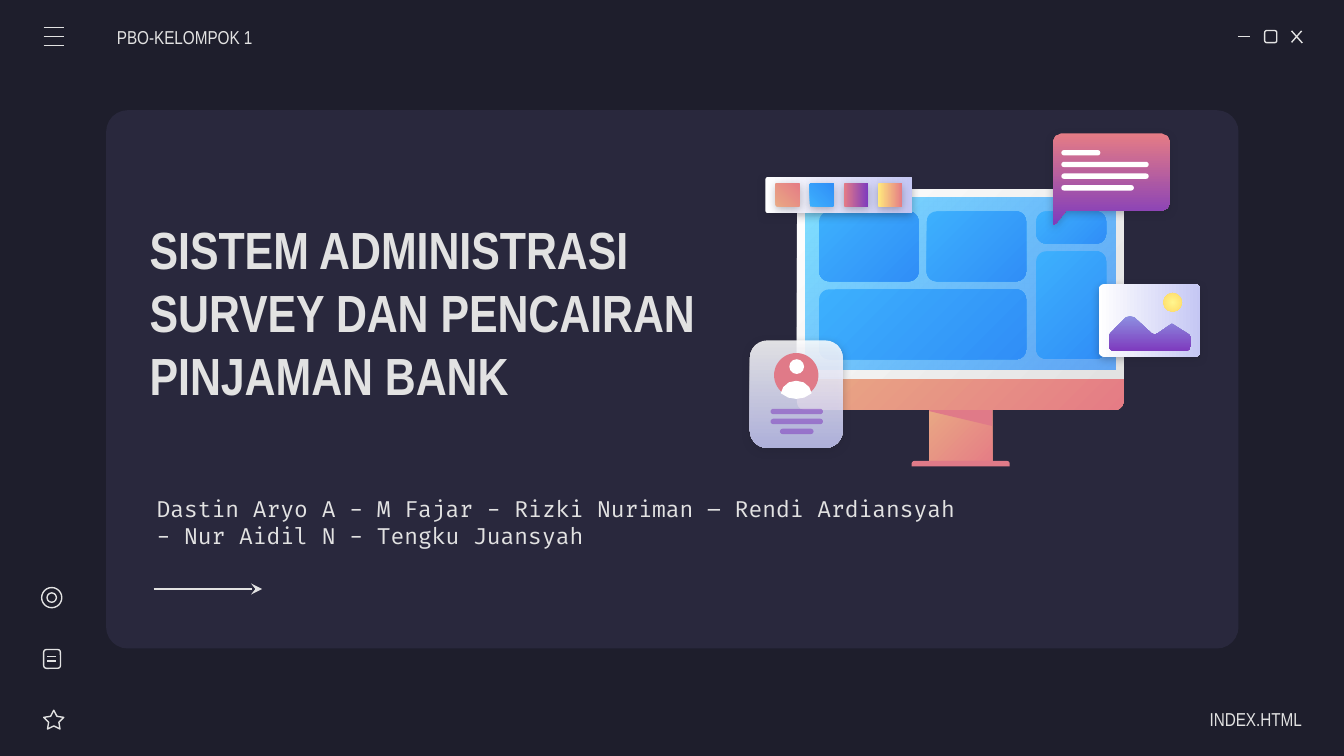
from dataclasses import dataclass

from pptx import Presentation
from pptx.dml.color import RGBColor
from pptx.enum.shapes import MSO_CONNECTOR, MSO_SHAPE
from pptx.enum.text import MSO_ANCHOR, MSO_AUTO_SIZE, PP_ALIGN
from pptx.oxml import parse_xml
from pptx.oxml.ns import nsdecls, qn
from pptx.oxml.xmlchemy import OxmlElement
from pptx.util import Inches, Pt


@dataclass(frozen=True)
class Theme:
    """Colours, gradients, fonts and type sizes of the slide."""
    night: str = "1E1E2C"
    card: str = "29283D"
    pale: str = "E2E2E2"
    white: str = "FFFFFF"
    rose: str = "E07A88"
    plum: str = "7E3BBE"
    peach: tuple = ("E9A984", "E57C85")
    frame: tuple = ("FFFFFF", "E2E2E2")
    sky: tuple = ("80DFFF", "318FFA")
    blue: tuple = ("3DB0FD", "308EF7")
    berry: tuple = ("E57C85", "7E3BBE")
    glass: tuple = ("FFFFFF", "C5C7F4")
    hill: tuple = ("8D90E1", "7E3BBE")
    sun: tuple = ("FFF68E", "FFD966")
    gold: tuple = ("FFEA7D", "E57C85")
    sans: str = "Arial Narrow"
    mono: str = "Fira Code"
    big: int = 28
    mid: int = 12
    small: int = 10


theme = Theme()
CELL = Inches(0.1)  # the slide is 100 columns wide, with square cells
RECT, ROUND, OVAL = MSO_SHAPE.RECTANGLE, MSO_SHAPE.ROUNDED_RECTANGLE, MSO_SHAPE.OVAL
TOP, STAR = MSO_SHAPE.ROUND_2_SAME_RECTANGLE, MSO_SHAPE.STAR_5_POINT
LINE = MSO_CONNECTOR.STRAIGHT


def draw(home, form, box, fill=None, ang=0, adj=(), alpha=(100, 100), shade=False):
    """Draw a line, a preset, or an outline in percent of its box; no fill means a pale stroke."""
    x, y, w, h = (round(n * CELL) for n in box)
    if form is LINE:
        item = home.add_connector(LINE, x, y, w, h)
    elif isinstance(form, list):
        dots = [(x + w * a / 100, y + h * b / 100) for a, b in form]
        pen = home.build_freeform(*dots[0])
        pen.add_line_segments(dots[1:], close=True)
        item = pen.convert_to_shape()
    else:
        item = home.add_shape(form, x, y, w, h)
        for i, part in enumerate(adj):
            item.adjustments[i] = part
    if fill:
        item.line.fill.background()
    else:
        item.line.color.rgb = RGBColor.from_string(theme.pale)
        item.line.width = Pt(0.75)
    props = item.element.spPr
    if form is LINE:
        props.append(OxmlElement("a:effectLst"))
        return item
    item.shadow.inherit = False
    if isinstance(fill, tuple):
        item.fill.gradient()
        item.fill.gradient_angle = -ang % 360
        for stop, tone in zip(item.fill.gradient_stops, fill):
            stop.color.rgb = RGBColor.from_string(tone)
    elif fill:
        item.fill.solid()
        item.fill.fore_color.rgb = RGBColor.from_string(fill)
    else:
        item.fill.background()
    if fill:
        for tone, part in zip(props.findall(".//" + qn("a:srgbClr")), alpha):
            if part < 100:
                tone.append(parse_xml(f'<a:alpha {nsdecls("a")} val="{part * 1000}"/>'))
    if shade:
        props.find(qn("a:effectLst")).append(parse_xml(
            f'<a:outerShdw {nsdecls("a")} blurRad="{Pt(4.5)}" dist="{Pt(1.5)}" dir="5400000" '
            f'algn="bl" rotWithShape="0"><a:srgbClr val="{theme.night}">'
            '<a:alpha val="30000"/></a:srgbClr></a:outerShdw>'))
    return item


def write(item, text, box, font=theme.sans, size=theme.small, bold=False,
          align=PP_ALIGN.LEFT, pad=(1, 1, 1, 1)):
    """Set text in a box or placeholder; pad is left, top, right, bottom."""
    item.left, item.top, item.width, item.height = (round(n * CELL) for n in box)
    frame = item.text_frame
    frame.auto_size, frame.word_wrap = MSO_AUTO_SIZE.NONE, True
    frame.vertical_anchor = MSO_ANCHOR.MIDDLE
    (frame.margin_left, frame.margin_top,
     frame.margin_right, frame.margin_bottom) = (round(n * CELL) for n in pad)
    frame.text = text
    para = frame.paragraphs[0]
    para.alignment, para.line_spacing, para.space_before = align, 1.0, Pt(0)
    face = para.runs[0].font
    face.name, face.size, face.bold = font, Pt(size), bold
    face.color.rgb = RGBColor.from_string(theme.pale)


deck = Presentation()
deck.slide_width = 100 * CELL
deck.slide_height = deck.slide_width * 9 // 16
slide = deck.slides.add_slide(deck.slide_layouts[0])
shapes = slide.shapes
slide.background.fill.solid()
slide.background.fill.fore_color.rgb = RGBColor.from_string(theme.night)

# Card and text
card = draw(shapes, ROUND, (7.9, 8.2, 84.25, 40.05), theme.card, adj=(0.04,))
shapes.element.insert(2, card.element)
write(shapes.title, "SISTEM ADMINISTRASI SURVEY DAN PENCAIRAN PINJAMAN BANK",
      (10.13, 14.4, 44.7, 17.6), size=theme.big, bold=True)
write(slide.placeholders[1],
      "Dastin Aryo A - M Fajar - Rizki Nuriman – Rendi Ardiansyah - Nur Aidil N - Tengku Juansyah",
      (10.65, 34.67, 63.1, 6), font=theme.mono, size=theme.mid, pad=(1, 2.4, 1, 0))
write(shapes.add_textbox(0, 0, 0, 0), "PBO-KELOMPOK 1", (8.7, 1.25, 11.7, 3), pad=(0, 1, 1, 1))
write(shapes.add_textbox(0, 0, 0, 0), "INDEX.HTML", (85.17, 52, 11.7, 3),
      align=PP_ALIGN.RIGHT, pad=(1, 1, 0, 1))
arrow = draw(shapes, LINE, (11.43, 43.83, 19.5, 43.83))
arrow.element.spPr.find(qn("a:ln")).append(
    parse_xml(f'<a:tailEnd {nsdecls("a")} type="stealth"/>'))

# Window buttons
tools = shapes.add_group_shape().shapes
draw(tools, ROUND, (94.1, 2.27, 0.9, 0.9))
for ends in ((92.1, 2.7, 93, 2.7), (96.1, 2.3, 96.9, 3.2), (96.85, 2.3, 96.1, 3.15)):
    draw(tools, LINE, ends)

# Menu
menu = shapes.add_group_shape().shapes
for row in range(3):
    y = 2.05 + row * 0.67
    draw(menu, LINE, (3.25, y, 4.75, y))

# Side icons
side = shapes.add_group_shape().shapes
draw(side, OVAL, (3.1, 43.72, 1.5, 1.5))
draw(side, OVAL, (3.5, 44.12, 0.7, 0.7))
draw(side, ROUND, (3.25, 48.33, 1.25, 1.4))
for y in (48.83, 49.2):
    draw(side, LINE, (3.5, y, 4.2, y))
draw(side, STAR, (3.25, 52.85, 1.5, 1.4), adj=(0.254,))

# Monitor
screen = shapes.add_group_shape().shapes
draw(screen, RECT, (69.13, 30.3, 4.7, 4.3), theme.peach, ang=45)
draw(screen, TOP, (67.83, 34.3, 7.3, 0.4), theme.rose, adj=(0.5, 0))
draw(screen, [(0, 0), (0, 21), (100, 100), (100, 0)], (69.13, 30.3, 4.7, 1.4), theme.rose)
draw(screen, TOP, (59.3, 28.1, 24.3, 2.4), theme.peach, ang=45, adj=(0, 0.25))
draw(screen, TOP, (59.3, 14.1, 24.3, 14.1), theme.frame, ang=45, adj=(0.04, 0))
draw(screen, RECT, (59.95, 14.7, 23.05, 12.8), theme.sky, ang=45, alpha=(100, 72))
for x, y, w, h in ((60.95, 15.73, 7.4, 5.2), (60.95, 21.53, 15.4, 5.2),
                   (68.95, 15.73, 7.4, 5.2), (77.1, 15.73, 5.2, 2.4), (77.1, 18.7, 5.2, 8)):
    draw(screen, ROUND, (x, y, w, h), theme.blue, ang=45, adj=(0.75 / min(w, h),))

# Speech bubble
bubble = [(0, 9), (2, 3), (7, 0), (93, 0), (98, 3), (100, 9), (100, 76), (98, 82), (93, 85),
          (11, 85), (3, 98), (1, 100), (0, 98)]
chat = shapes.add_group_shape().shapes
draw(chat, bubble, (78.35, 9.92, 8.7, 6.8), theme.berry, ang=90, shade=True)
for row, wide in enumerate((2.9, 6.5, 6.5, 5.4)):
    draw(chat, ROUND, (78.97, 11.17 + row * 0.87, wide, 0.4), theme.white, adj=(0.5,))

# Profile card
bust = [(0, 69), (8, 35), (26, 9), (50, 0), (74, 9), (92, 35), (100, 69),
        (76, 93), (50, 100), (24, 93)]
user = shapes.add_group_shape().shapes
draw(user, ROUND, (55.8, 25.33, 6.9, 8), theme.glass, ang=90, adj=(0.187,),
     alpha=(86, 86), shade=True)
draw(user, OVAL, (57.6, 26.27, 3.3, 3.3), theme.rose)
draw(user, OVAL, (58.73, 26.73, 1.1, 1.1), theme.white)
draw(user, bust, (58.1, 28.33, 2.3, 1.35), theme.white)
for row, wide in enumerate((3.9, 3.9, 2.5)):
    draw(user, ROUND, (59.28 - wide / 2, 30.42 + row * 0.74, wide, 0.4), theme.plum,
         adj=(0.5,), alpha=(54,))

# Photo
hills = [(0, 58), (2, 50), (21, 4), (26, 0), (31, 4), (52, 50), (56, 54), (60, 50), (74, 27),
         (77, 23), (80, 27), (98, 54), (100, 60), (100, 88), (98, 97), (94, 100),
         (6, 100), (2, 97), (0, 88)]
photo = shapes.add_group_shape().shapes
draw(photo, ROUND, (81.75, 21.15, 7.55, 5.4), theme.glass, adj=(0.07,), shade=True)
draw(photo, hills, (82.5, 23.5, 6.1, 2.6), theme.hill, ang=90)
sun = draw(photo, OVAL, (86.55, 21.8, 1.4, 1.4), theme.sun)
slope = sun.element.spPr.find(".//" + qn("a:lin"))
slope.getparent().replace(slope, parse_xml(
    f'<a:path {nsdecls("a")} path="circle">'
    '<a:fillToRect l="50000" t="50000" r="50000" b="50000"/></a:path>'))

# Swatches
strip = shapes.add_group_shape().shapes
draw(strip, ROUND, (56.95, 13.17, 10.9, 2.7), theme.glass, adj=(0.07,), shade=True)
inks = ((theme.peach, 315), (theme.blue, 315), (theme.berry, 0), (theme.gold, 0))
for col, (ink, ang) in enumerate(inks):
    draw(strip, ROUND, (57.7 + col * 2.54, 13.63, 1.8, 1.75), ink, ang=ang,
         adj=(0.07,), shade=True)

deck.save("out.pptx")
